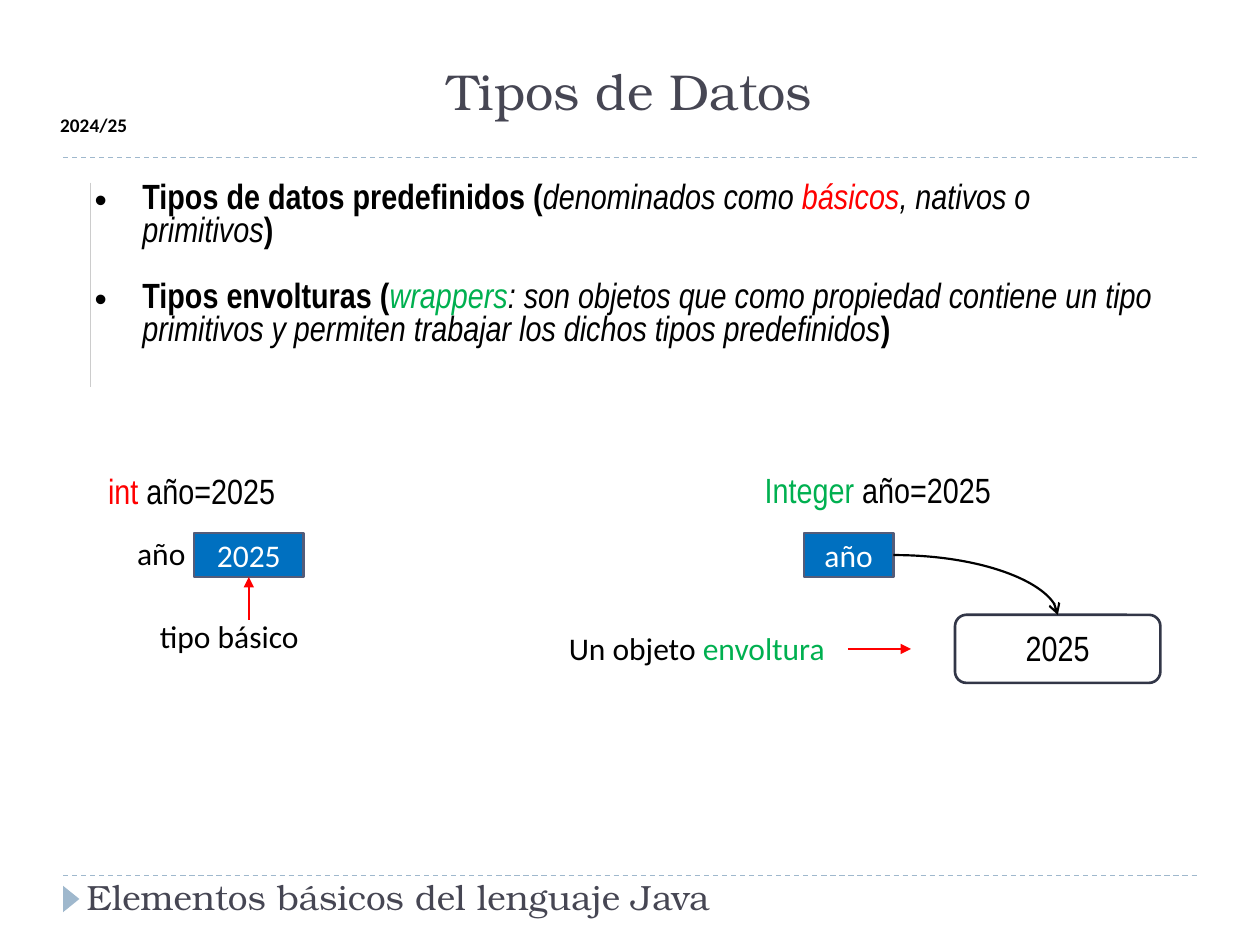
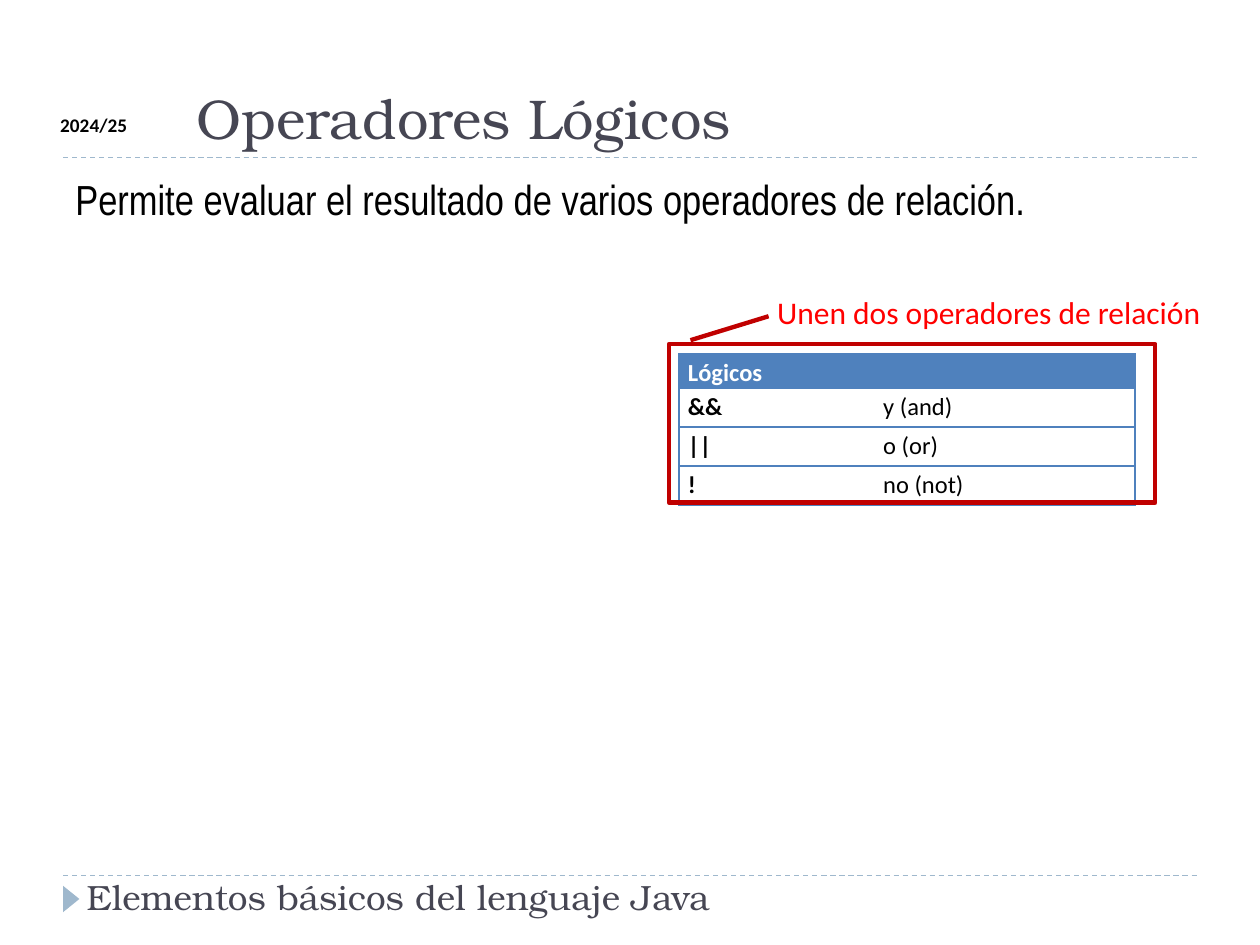
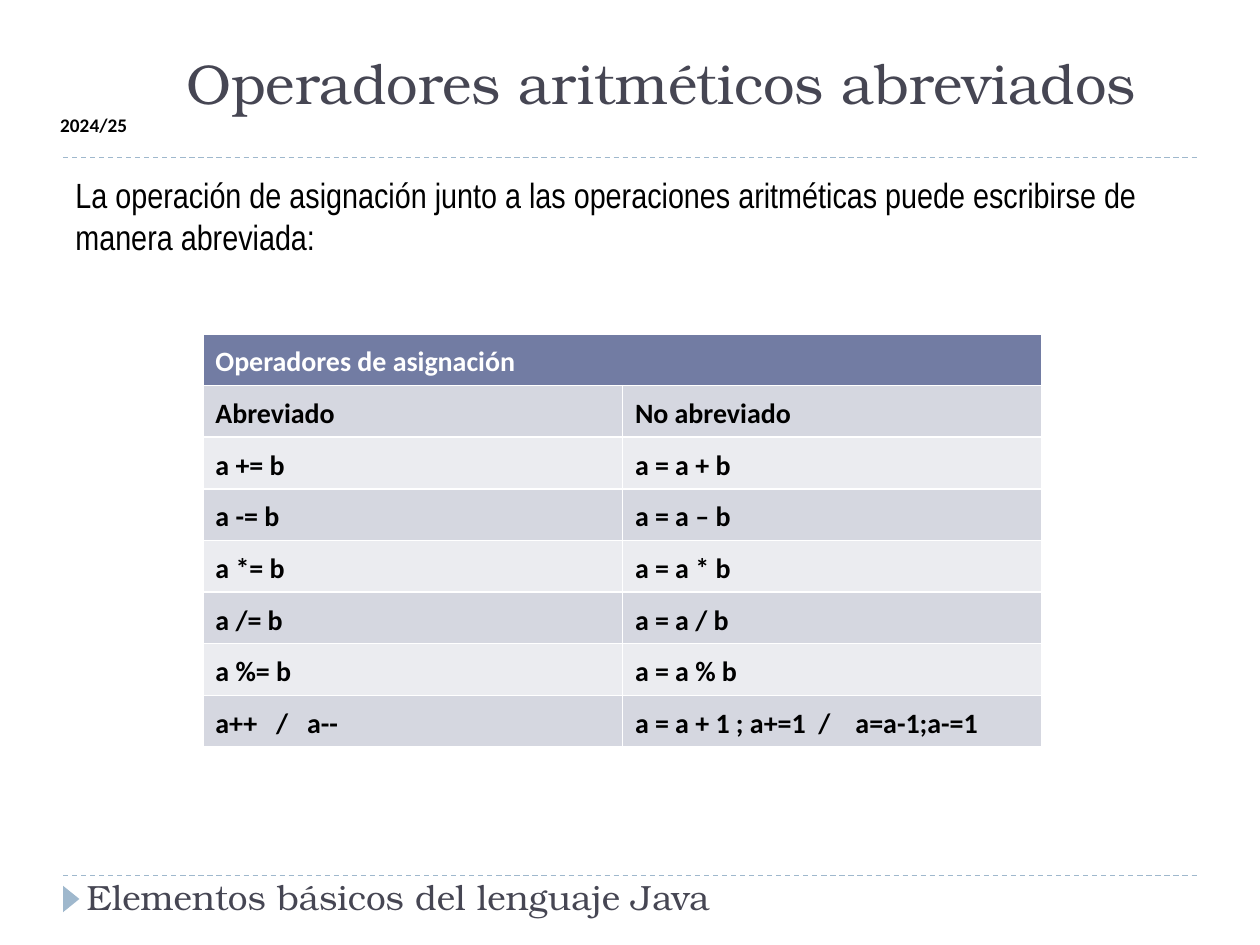
from pptx import Presentation
from pptx.dml.color import RGBColor
from pptx.enum import dml, shapes, text
from pptx.oxml import ns, xmlchemy
from pptx.util import Inches, Pt

# Shared look
SERIF, SANS, NARROW = "TeX Gyre Bonum", "Calibri", "Arial Narrow"
BLACK, WHITE, RED, GREEN = "000000", "FFFFFF", "FF0000", "00B050"
INK, PALE_BLUE, BOX_BLUE, BOX_EDGE = "464653", "9FB8CD", "0070C0", "545C79"
TABLE_BLUE, FRAME_RED, HEAD = "4F81BD", "C00000", "727CA3"
BANDS = ("D5D7E0", "EBECF0")
NO_STYLE = "{2D5ABB26-0587-4C30-8999-92F81FD0307C}"
CENTER, JUSTIFY = text.PP_ALIGN.CENTER, text.PP_ALIGN.JUSTIFY
RECT = shapes.MSO_SHAPE.RECTANGLE


def color(value):
    return RGBColor.from_string(value)


def inches(*values):
    return [Inches(v) for v in values]


def add_xml(parent, tag, **attrs):
    el = xmlchemy.OxmlElement(tag)
    for name, value in attrs.items():
        el.set(name, str(value))
    parent.append(el)
    return el


# Text
def write(p, runs, size, font, align=None):
    """Each run is (text, colour, style), with style made of "b" and "i"."""
    p.alignment = align
    for words, hue, style in runs:
        r = p.add_run()
        r.text = words
        r.font.size, r.font.name = Pt(size), font
        r.font.color.rgb = color(hue)
        r.font.bold, r.font.italic = "b" in style, "i" in style


def add_text(s, box, runs, size, font, wrap=False):
    sp = s.shapes.add_textbox(*inches(*box))
    tf = sp.text_frame
    tf.word_wrap = wrap
    if not wrap:
        tf.auto_size = text.MSO_AUTO_SIZE.SHAPE_TO_FIT_TEXT
    write(tf.paragraphs[0], runs, size, font)
    return sp


def add_intro(s, words, size):
    sp = add_text(s, (0.5, 1.33, 9, 5.4), [(words, BLACK, "")], size, NARROW, wrap=True)
    sp.text_frame.paragraphs[0].space_before = Pt(6)


# Shapes and lines
def add_box(s, box, fill=None, line=None, width=1.5, runs=(), size=18, font=SANS, kind=RECT):
    sp = s.shapes.add_shape(kind, *inches(*box))
    sp.shadow.inherit = False
    if fill:
        sp.fill.solid()
        sp.fill.fore_color.rgb = color(fill)
    else:
        sp.fill.background()
    if line:
        sp.line.color.rgb = color(line)
        sp.line.width = Pt(width)
    else:
        sp.line.fill.background()
    sp.text_frame.vertical_anchor = text.MSO_ANCHOR.MIDDLE
    write(sp.text_frame.paragraphs[0], runs, size, font, CENTER)
    return sp


def add_line(s, ends, hue, width, head=None, kind=shapes.MSO_CONNECTOR.STRAIGHT):
    c = s.shapes.add_connector(kind, *inches(*ends))
    c.line.color.rgb = color(hue)
    c.line.width = Pt(width)
    if head:
        add_xml(c.line._get_or_add_ln(), "a:tailEnd", type=head)
    add_xml(c._element.spPr, "a:effectLst")
    return c


# Tables
def add_table(s, box, cols, rows):
    t = s.shapes.add_table(len(rows), len(cols), *inches(*box)).table
    t._tbl.tblPr[0].text = NO_STYLE
    t.first_row = t.horz_banding = False
    for col, width in zip(t.columns, cols):
        col.width = Inches(width)
    for row, height in zip(t.rows, rows):
        row.height = Inches(height)
    return t


def format_cell(cell, fill, edges, hue, width, margins):
    tcPr = cell._tc.get_or_add_tcPr()
    for side in edges:
        ln = add_xml(tcPr, f"a:ln{side}", w=Pt(width))
        add_xml(add_xml(ln, "a:solidFill"), "a:srgbClr", val=hue)
    if fill:
        cell.fill.solid()
        cell.fill.fore_color.rgb = color(fill)
    else:
        cell.fill.background()
    cell.margin_left = cell.margin_right = Inches(margins[0])
    cell.margin_top = cell.margin_bottom = Inches(margins[1])


def write_cell(cell, words, hue, size, style, align=None):
    p = cell.text_frame.paragraphs[0]
    write(p, [(words, hue, style)], size, SANS, align)
    p.line_spacing, p.space_after = 1.15, Pt(6)


# Parts of every slide
def new_slide(prs, title, box, size, align=None):
    s = prs.slides.add_slide(prs.slide_layouts[5])
    for y in (6.95, 1.25):
        c = add_line(s, (0.5, y, 9.5, y), PALE_BLUE, 0.75)
        c.line.dash_style = dml.MSO_LINE.DASH
    marker = add_box(s, (0.46, 7.07, 0.21, 0.13), PALE_BLUE,
                     kind=shapes.MSO_SHAPE.ISOSCELES_TRIANGLE)
    marker.rotation = 90
    footer = add_text(s, (0.59, 6.78, 9, 0.55),
                      [("Elementos básicos del lenguaje Java", INK, "")], 20, SERIF, wrap=True)
    footer.text_frame.vertical_anchor = text.MSO_ANCHOR.BOTTOM
    add_text(s, (0.38, 0.85, 0.76, 0.29), [("2024/25", BLACK, "b")], 11, SANS)

    sp = s.shapes.title
    sp.left, sp.top, sp.width, sp.height = inches(*box)
    tf = sp.text_frame
    tf.auto_size = text.MSO_AUTO_SIZE.NONE
    tf.vertical_anchor = text.MSO_ANCHOR.BOTTOM
    write(tf.paragraphs[0], [(title, INK, "")], size, SERIF, align or text.PP_ALIGN.LEFT)
    return s


# Slide 1: data types
def type_list(s, x, y):
    items = [
        [("Tipos de datos predefinidos (", BLACK, "b"), ("denominados como ", BLACK, "i"),
         ("básicos", RED, "i"), (", nativos o primitivos", BLACK, "i"), (")", BLACK, "b")],
        [("Tipos envolturas (", BLACK, "b"), ("wrappers", GREEN, "i"),
         (": son objetos que como propiedad contiene un tipo primitivos y permiten "
          "trabajar los dichos tipos predefinidos", BLACK, "i"), (")", BLACK, "b")],
    ]
    cell = add_table(s, (x, y, 8.5, 1.34), [8.5], [1.34]).cell(0, 0)
    format_cell(cell, None, "L", "CCCCCC", 0.5, (0.03, 0.01))
    tf = cell.text_frame
    for i, runs in enumerate(items):
        p = tf.add_paragraph() if i else tf.paragraphs[0]
        write(p, runs, 20, NARROW)
        p.line_spacing = 1.0
        p.space_before = Pt(19 if i else 0)
        pPr = p._p.get_or_add_pPr()
        pPr.set("marL", str(Inches(0.38)))
        pPr.set("indent", str(Inches(-0.38)))
        add_xml(pPr, "a:buFont", typeface="Arial")
        add_xml(pPr, "a:buChar", char="•")


def primitive_example(s, x, y):
    add_text(s, (x + 0.04, y, 1.54, 0.44),
             [("int", RED, ""), (" año=2025", BLACK, "")], 20, NARROW)
    add_box(s, (x + 0.2, y + 0.55, 0.72, 0.31), WHITE, runs=[("año", BLACK, "")])
    value = add_box(s, (x + 0.82, y + 0.55, 0.87, 0.35), BOX_BLUE, BOX_EDGE,
                    runs=[("2025", WHITE, "")])
    add_box(s, (x, y + 1.1, 2.2, 0.54), WHITE, runs=[("tipo básico", BLACK, "")])
    middle = x + 0.82 + 0.87 / 2
    arrow = add_line(s, (middle, y + 1.24, middle, y + 0.9), RED, 1.5, "triangle")
    arrow.end_connect(value, 2)


def wrapper_example(s, x, y):
    add_box(s, (x, y + 1.2, 2.72, 0.54), WHITE,
            runs=[("Un objeto ", BLACK, ""), ("envoltura", GREEN, "")])
    add_text(s, (x + 1.8, y, 2.01, 0.44),
             [("Integer", GREEN, ""), (" año=2025", BLACK, "")], 20, NARROW)
    variable = add_box(s, (x + 2.21, y + 0.56, 0.71, 0.35), BOX_BLUE, BOX_EDGE,
                       runs=[("año", WHITE, "")])
    wrapped = add_box(s, (x + 3.41, y + 1.21, 1.63, 0.54), None, "323647",
                      runs=[("2025", BLACK, "")], size=20, font=NARROW,
                      kind=shapes.MSO_SHAPE.ROUNDED_RECTANGLE)
    tf = wrapped.text_frame
    tf.margin_left = tf.margin_right = tf.margin_top = tf.margin_bottom = 0
    tf.paragraphs[0].line_spacing = Pt(23)
    reference = add_line(s, (x + 2.92, y + 0.74, x + 4.23, y + 1.21), BLACK, 1.25, "arrow",
                         shapes.MSO_CONNECTOR.CURVE)
    reference._element.spPr.find(ns.qn("a:prstGeom")).set("prst", "curvedConnector2")
    reference.begin_connect(variable, 3)
    reference.end_connect(wrapped, 0)
    add_line(s, (x + 2.56, y + 1.48, x + 3.06, y + 1.48), RED, 1.5, "triangle")


def data_types_slide(prs):
    s = new_slide(prs, "Tipos de Datos", (0.5, 0.53, 9, 0.48), 28.8, CENTER)
    type_list(s, 0.72, 1.45)
    primitive_example(s, 0.72, 3.68)
    wrapper_example(s, 4.17, 3.67)


# Slide 2: logical operators
def logical_table(s, x, y):
    operators = [("&&", "y (and)"), ("||", "o (or)"), ("!", "no (not)")]
    t = add_table(s, (x, y, 3.62, 1.18), [1.55, 2.07], [0.25] + [0.31] * 3)
    for i in range(4):
        for j, edges in enumerate(("LTB", "RTB")):
            format_cell(t.cell(i, j), None if i else TABLE_BLUE, edges if i else "LRTB",
                        TABLE_BLUE, 1, (0.07, 0))
    t.cell(0, 0).merge(t.cell(0, 1))
    write_cell(t.cell(0, 0), "Lógicos", WHITE, 14, "b")
    for i, (symbol, meaning) in enumerate(operators, 1):
        write_cell(t.cell(i, 0), symbol, BLACK, 14, "b")
        write_cell(t.cell(i, 1), meaning, BLACK, 14, "")


def table_callout(s, x, y):
    add_box(s, (x, y, 3.86, 1.26), None, FRAME_RED, 2.5)
    add_text(s, (x + 0.76, y - 0.45, 3.63, 0.4),
             [("Unen dos operadores de relación", RED, "")], 18, SANS)
    add_line(s, (x + 0.17, y - 0.03, x + 0.79, y - 0.22), FRAME_RED, 2.5)


def logical_slide(prs):
    s = new_slide(prs, "Operadores Lógicos", (1.46, 0.17, 8.04, 1.08), 32)
    add_intro(s, "Permite evaluar el resultado de varios operadores de relación.", 24)
    logical_table(s, 5.39, 2.81)
    table_callout(s, 5.31, 2.73)


# Slide 3: short assignment operators
def assignment_table(s, x, y):
    rows = [("Abreviado", "No abreviado"), ("a += b", "a = a + b"), ("a -= b", "a = a – b"),
            ("a *= b", "a = a * b"), ("a /= b", "a = a / b"), ("a %= b", "a = a % b"),
            ("a++   /   a--", "a = a + 1 ; a+=1  /    a=a-1;a-=1")]
    t = add_table(s, (x, y, 6.66, 3.28), [3.33] * 2, [0.41] * (len(rows) + 1))
    for i in range(len(rows) + 1):
        for j in range(2):
            fill = BANDS[(i - 1) % 2] if i else HEAD
            format_cell(t.cell(i, j), fill, "LRTB", WHITE, 1, (0.1, 0.05))
            if i:
                write_cell(t.cell(i, j), rows[i - 1][j], BLACK, 16, "b", JUSTIFY)
    t.cell(0, 0).merge(t.cell(0, 1))
    write_cell(t.cell(0, 0), "Operadores de asignación", WHITE, 16, "b", JUSTIFY)


def assignment_slide(prs):
    s = new_slide(prs, "Operadores aritméticos abreviados", (1.38, 0.32, 8.04, 0.65), 32)
    add_intro(s, "La operación de asignación junto a las operaciones aritméticas puede "
                 "escribirse de manera abreviada:", 20)
    assignment_table(s, 1.61, 2.65)


def main():
    prs = Presentation()
    prs.slide_width, prs.slide_height = inches(10, 7.5)
    data_types_slide(prs)
    logical_slide(prs)
    assignment_slide(prs)
    prs.save("out.pptx")


if __name__ == "__main__":
    main()
